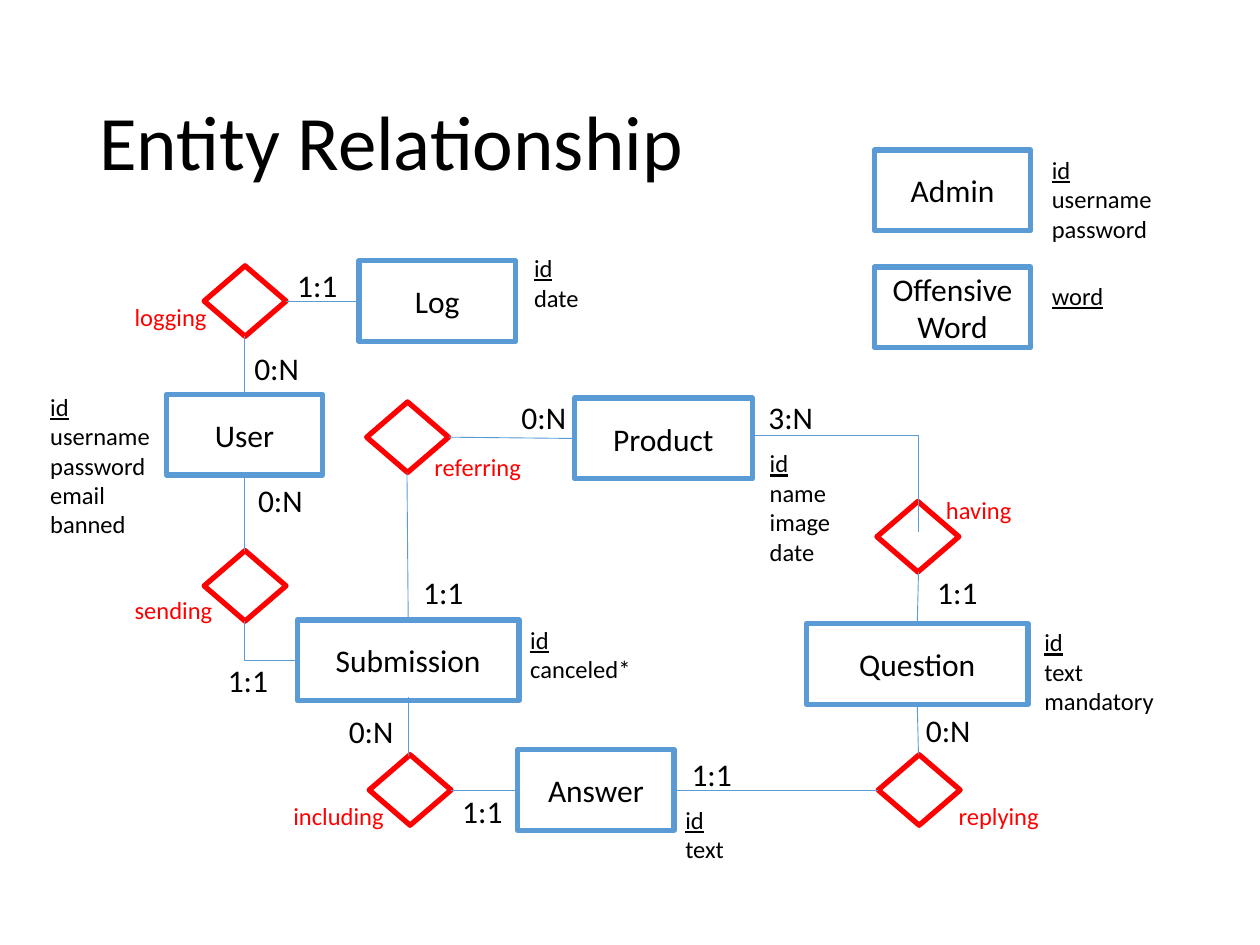
from dataclasses import dataclass

import pptx
import pptx.dml.color
import pptx.enum.shapes
import pptx.enum.text
import pptx.oxml.ns
import pptx.util
from lxml import etree

Inches = pptx.util.Inches
RGBColor = pptx.dml.color.RGBColor
Shape = pptx.enum.shapes.MSO_SHAPE
Connector = pptx.enum.shapes.MSO_CONNECTOR
Anchor = pptx.enum.text.MSO_ANCHOR
Align = pptx.enum.text.PP_ALIGN
AutoSize = pptx.enum.text.MSO_AUTO_SIZE

BLACK = RGBColor(0x00, 0x00, 0x00)
WHITE = RGBColor(0xFF, 0xFF, 0xFF)
RED = RGBColor(0xFF, 0x00, 0x00)
BLUE = RGBColor(0x5B, 0x9B, 0xD5)
FONT = "Calibri"
ENTITY_HEIGHT = 0.64
DIAMOND_WIDTH, DIAMOND_HEIGHT = 0.65, 0.56
LINE_HEIGHT = {14: 0.235, 18: 0.3}


@dataclass
class Entity:
    name: str
    left: float
    top: float
    width: float = 1.24


@dataclass
class Attributes:
    names: list[str]
    left: float
    top: float
    width: float


@dataclass
class Relationship:
    name: str
    left: float
    top: float
    name_left: float
    name_top: float
    name_width: float


@dataclass
class Cardinality:
    ratio: str
    left: float
    top: float


@dataclass
class Link:
    start: tuple[float, float]
    end: tuple[float, float]
    elbow: bool = False


ENTITIES = [
    Entity("Submission", 2.36, 4.92, 1.76),
    Entity("Product", 4.56, 3.16, 1.41),
    Entity("User", 1.32, 3.13),
    Entity("Admin", 6.94, 1.19),
    Entity("Offensive\vWord", 6.94, 2.12),
    Entity("Question", 6.4, 4.95, 1.76),
    Entity("Log", 2.85, 2.07),
    Entity("Answer", 4.11, 5.95),
]
ATTRIBUTES = [
    Attributes(["id", "date"], 4.14, 1.96, 0.63),
    Attributes(["id", "name", "image", "date"], 6.01, 3.51, 0.75),
    Attributes(["id", "username", "password", "email", "banned"], 0.3, 3.06, 1.1),
    Attributes(["id", "username", "password"], 8.25, 1.18, 1.1),
    Attributes(["word"], 8.25, 2.18, 0.61),
    Attributes(["id", "text", "mandatory"], 8.19, 4.93, 1.1),
    Attributes(["id", "text"], 5.34, 6.34, 0.81),
    Attributes(["id", "canceled*"], 4.11, 4.91, 1.09),
]
RELATIONSHIPS = [
    Relationship("logging", 1.62, 2.11, 0.97, 2.35, 1.03),
    Relationship("sending", 1.62, 4.37, 0.97, 4.67, 0.87),
    Relationship("including", 2.93, 5.99, 2.23, 6.31, 0.93),
    Relationship("referring", 2.91, 3.19, 3.35, 3.54, 0.93),
    Relationship("replying", 6.97, 5.99, 7.51, 6.31, 1.16),
    Relationship("having", 6.96, 3.98, 7.41, 3.88, 1.16),
]
CARDINALITIES = [
    Cardinality("0:N", 4.04, 3.11), Cardinality("1:1", 3.26, 4.5),
    Cardinality("0:N", 1.95, 3.77), Cardinality("1:1", 1.71, 5.2),
    Cardinality("0:N", 7.25, 5.59), Cardinality("3:N", 6.0, 3.11),
    Cardinality("1:1", 2.26, 2.06), Cardinality("0:N", 1.92, 2.72),
    Cardinality("1:1", 3.57, 6.24), Cardinality("0:N", 2.67, 5.6),
    Cardinality("1:1", 5.39, 5.94), Cardinality("1:1", 7.34, 4.5),
]
# An elbow leaves its start horizontally
LINKS = [
    Link((2.36, 5.24), (1.94, 4.93), elbow=True),
    Link((5.99, 3.46), (7.29, 4.22), elbow=True),
    Link((1.94, 4.37), (1.94, 3.77)),
    Link((7.28, 4.95), (7.29, 4.54)),
    Link((1.94, 2.67), (1.94, 3.13)),
    Link((2.85, 2.39), (2.27, 2.39)),
    Link((3.24, 4.92), (3.23, 3.75)),
    Link((3.56, 3.47), (4.56, 3.48)),
    Link((3.24, 5.53), (3.24, 6.0)),
    Link((3.58, 6.27), (4.11, 6.27)),
    Link((5.35, 6.27), (6.97, 6.27)),
    Link((7.29, 5.99), (7.28, 5.6)),
]


def write(frame, lines: list[str], *, size: int = 18, color: RGBColor = BLACK,
          align=Align.LEFT, anchor=Anchor.TOP, key_first: bool = False,
          spacing: float = 1.0, wrap: bool = True) -> None:
    frame.word_wrap = wrap
    frame.vertical_anchor = anchor
    for index, line in enumerate(lines):
        paragraph = frame.add_paragraph() if index else frame.paragraphs[0]
        paragraph.text = line
        paragraph.alignment = align
        paragraph.line_spacing = spacing
        for run in paragraph.runs:
            run.font.name = FONT
            run.font.size = pptx.util.Pt(size)
            run.font.color.rgb = color
            if key_first and index == 0:
                run.font.underline = True


def add_label(slide, lines: list[str], left: float, top: float, width: float,
              size: int = 18, **text_format) -> None:
    height = 0.1 + len(lines) * LINE_HEIGHT[size]
    label = slide.shapes.add_textbox(
        Inches(left), Inches(top), Inches(width), Inches(height))
    write(label.text_frame, lines, size=size, **text_format)
    label.text_frame.auto_size = AutoSize.SHAPE_TO_FIT_TEXT


def add_outlined(slide, kind, left: float, top: float, width: float,
                 height: float, outline: RGBColor):
    shape = slide.shapes.add_shape(
        kind, Inches(left), Inches(top), Inches(width), Inches(height))
    shape.shadow.inherit = False
    shape.fill.solid()
    shape.fill.fore_color.rgb = WHITE
    shape.line.color.rgb = outline
    shape.line.width = pptx.util.Pt(3)
    return shape


def add_link(slide, link: Link) -> None:
    kind = Connector.ELBOW if link.elbow else Connector.STRAIGHT
    line = slide.shapes.add_connector(
        kind, *(Inches(value) for value in link.start + link.end))
    line.line.color.rgb = BLUE
    line.line.width = pptx.util.Pt(0.5)
    properties = line._element.spPr
    etree.SubElement(properties, pptx.oxml.ns.qn("a:effectLst"))
    if link.elbow:
        properties.find(pptx.oxml.ns.qn("a:prstGeom")).set("prst", "bentConnector2")


presentation = pptx.Presentation()
presentation.slide_width, presentation.slide_height = Inches(10), Inches(7.5)
slide = presentation.slides.add_slide(presentation.slide_layouts[6])

# Title
title = slide.shapes.add_textbox(Inches(0.69), Inches(0.43), Inches(8.62), Inches(1.45))
write(title.text_frame, ["Entity Relationship"], size=44, anchor=Anchor.MIDDLE, spacing=0.9)

# Entities and relationship diamonds
for entity in ENTITIES:
    box = add_outlined(slide, Shape.RECTANGLE, entity.left, entity.top,
                       entity.width, ENTITY_HEIGHT, BLUE)
    write(box.text_frame, [entity.name], align=Align.CENTER, anchor=Anchor.MIDDLE)
for relationship in RELATIONSHIPS:
    add_outlined(slide, Shape.DIAMOND, relationship.left, relationship.top,
                 DIAMOND_WIDTH, DIAMOND_HEIGHT, RED)

# Links
for link in LINKS:
    add_link(slide, link)

# Attribute lists, cardinalities and relationship names
for attributes in ATTRIBUTES:
    add_label(slide, attributes.names, attributes.left, attributes.top,
              attributes.width, size=14, key_first=True)
for cardinality in CARDINALITIES:
    width = 0.56 if cardinality.ratio.endswith("N") else 0.53
    add_label(slide, [cardinality.ratio], cardinality.left, cardinality.top, width, wrap=False)
for relationship in RELATIONSHIPS:
    add_label(slide, [relationship.name], relationship.name_left,
              relationship.name_top, relationship.name_width, size=14, color=RED)

presentation.save("out.pptx")
